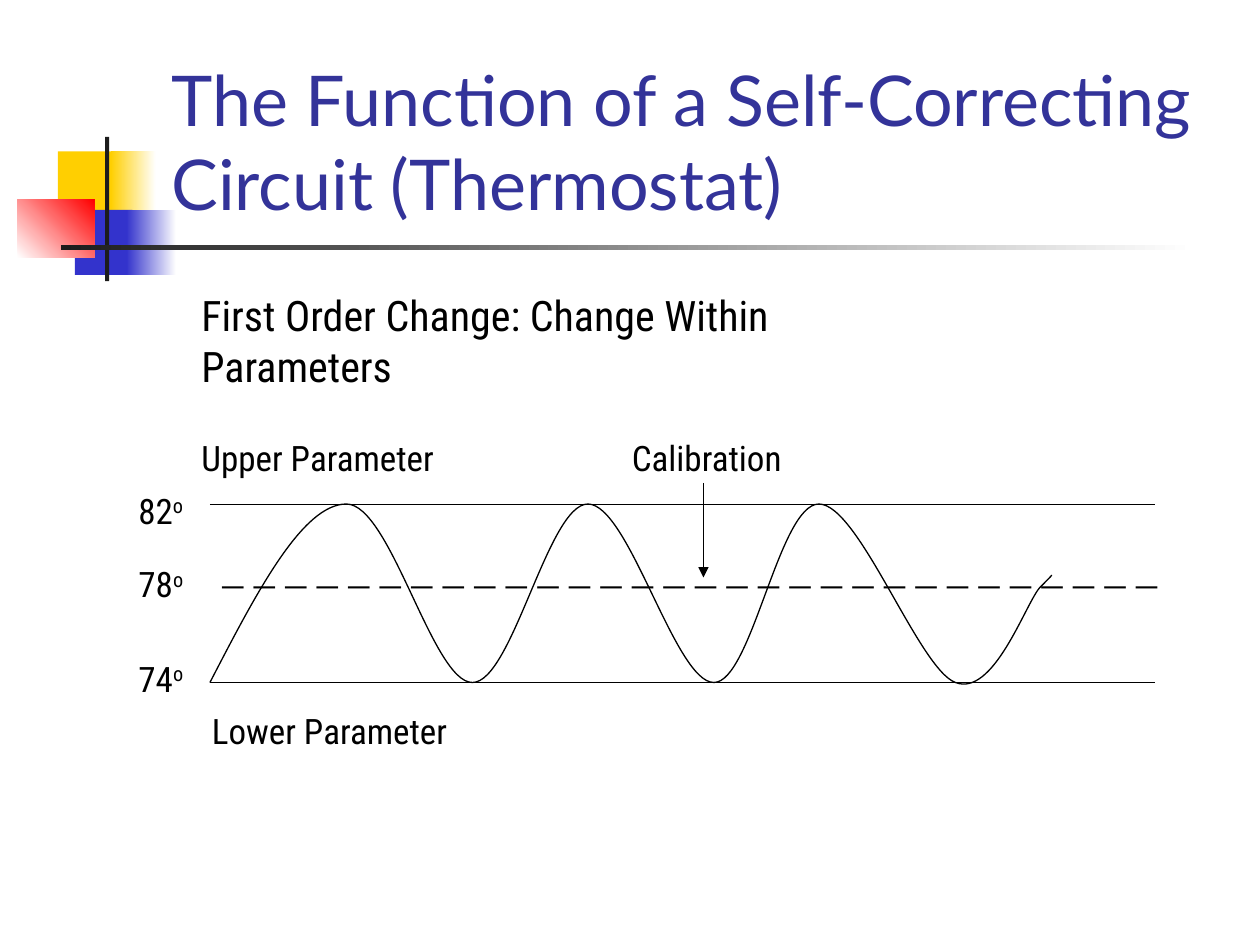
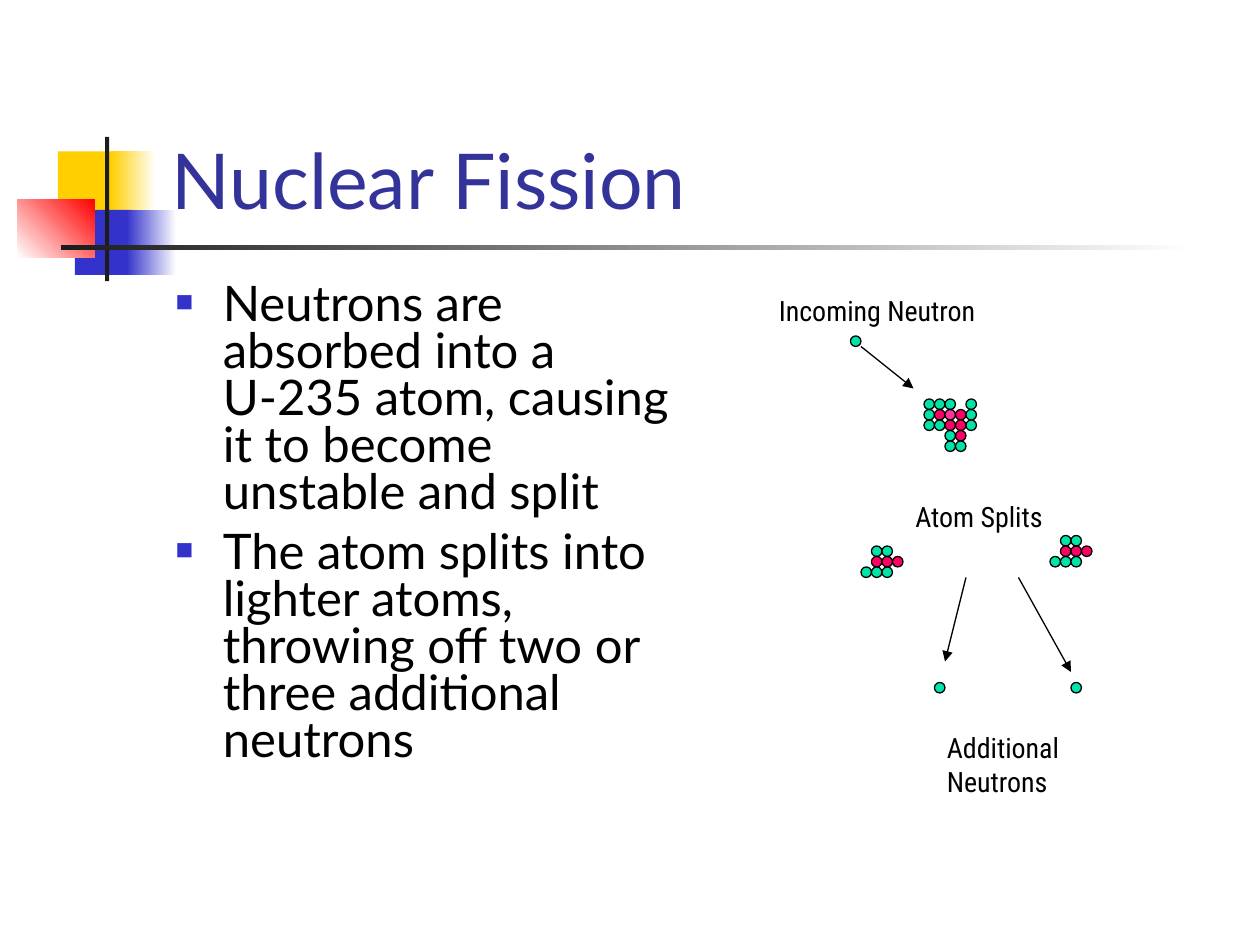
import pptx
import pptx.dml.color
import pptx.enum.shapes
import pptx.enum.text
import pptx.oxml.ns
import pptx.util
from lxml import etree

CELLS_PER_INCH = 12
TITLE_FONT, LABEL_FONT = "Lato", "Roboto Condensed"
INK, TITLE_BLUE, WHITE = "000000", "333399", "FFFFFF"
YELLOW, BLUE, RED, CHARCOAL = "FFCF01", "3333CC", "FF0000", "1C1C1C"
NUCLEONS = {"G": "00E4A8", "R": "FF0066", "P": "FF3399"}
NUCLEUS = ["GGG.G", "GRPRG", "GGRRG", "..GR.", "..GG."]
FRAGMENT = [".GG.", ".RRR", "GGG."]
MOTIF = [
    ((5.52, 14.42, 5.76, 6.24), [YELLOW], 0),
    ((10.56, 14.42, 4.28, 6.24), [YELLOW, WHITE], 0),
    ((7.13, 20, 5.5, 6.2), [BLUE], 0),
    ((12.05, 20, 4.75, 6.2), [BLUE, WHITE], 0),
    ((1.68, 19, 7.32, 5.55), [WHITE, RED], 45),
    ((10, 13.04, 0.4, 13.75), [CHARCOAL], 0),
    ((5.82, 23.35, 108, 0.42), [CHARCOAL, WHITE], 0),
]
TITLE_AREA = (15.12, 2.82, 102.24, 19.2)
BODY_AREA = (15.53, 26.44, 50, 54)
WAVE_START = (20, 65)
WAVE = [
    ((24.4, 56.5), (28.8, 48), (33, 48)),
    ((37.2, 48), (41.2, 65), (45, 65)),
    ((48.8, 65), (52.2, 48), (56, 48)),
    ((59.9, 48), (64.3, 65), (68, 65)),
    ((71.6, 65), (74.2, 48), (78, 48)),
    ((81.8, 48), (87.5, 63.7), (91, 65)),
    ((94.6, 66.4), (97.6, 57.7), (99, 56)),
    ((100.6, 54.4), (100.2, 54.7), (100, 55)),
]


def cells(count):
    return pptx.util.Inches(count / CELLS_PER_INCH)


def colour(hex_string):
    return pptx.dml.color.RGBColor.from_string(hex_string)


def apply_format(target, values):
    for name, value in values.items():
        setattr(target, name, value)


def format_font(font, family, size, ink):
    apply_format(font, {"name": family, "size": pptx.util.Pt(size)})
    font.color.rgb = colour(ink)


def outline(drawn):
    drawn.line.color.rgb = colour(INK)
    drawn.line.width = pptx.util.Pt(0.75)


def place(placeholder, area):
    names = ("left", "top", "width", "height")
    apply_format(placeholder, dict(zip(names, map(cells, area))))
    apply_format(placeholder.text_frame, {
        "word_wrap": True,
        "auto_size": pptx.enum.text.MSO_AUTO_SIZE.NONE,
    })


def add_block(slide, area, stops, angle):
    block = slide.shapes.add_shape(
        pptx.enum.shapes.MSO_SHAPE.RECTANGLE, *map(cells, area))
    block.shadow.inherit = False
    block.line.fill.background()
    if len(stops) == 1:
        block.fill.solid()
        block.fill.fore_color.rgb = colour(stops[0])
    else:
        block.fill.gradient()
        block.fill.gradient_angle = angle
        for stop, shade in zip(block.fill.gradient_stops, stops):
            stop.color.rgb = colour(shade)
    return block


def add_motif_to_master(master, slide):
    for area, stops, angle in MOTIF:
        block = add_block(slide, area, stops, angle)
        master.shapes.element.append(block.element)


def set_title(slide, wording, size):
    title = slide.shapes.title
    place(title, TITLE_AREA)
    title.text_frame.text = wording
    title.text_frame.vertical_anchor = pptx.enum.text.MSO_ANCHOR.BOTTOM
    paragraph = title.text_frame.paragraphs[0]
    paragraph.alignment = pptx.enum.text.PP_ALIGN.LEFT
    format_font(paragraph.runs[0].font, TITLE_FONT, size, TITLE_BLUE)


def add_square_bullet(paragraph):
    properties = paragraph._p.get_or_add_pPr()
    hanging = cells(4.5)
    properties.set("marL", str(hanging))
    properties.set("indent", str(-hanging))
    qn = pptx.oxml.ns.qn
    tint = etree.SubElement(properties, qn("a:buClr"))
    etree.SubElement(tint, qn("a:srgbClr"), val=BLUE)
    etree.SubElement(properties, qn("a:buSzPct"), val="60000")
    etree.SubElement(properties, qn("a:buChar"), char="■")


def set_bullets(slide, points):
    body = slide.placeholders[1]
    place(body, BODY_AREA)
    for index, point in enumerate(points):
        frame = body.text_frame
        paragraph = frame.add_paragraph() if index else frame.paragraphs[0]
        add_square_bullet(paragraph)
        apply_format(paragraph, {
            "line_spacing": 0.8,
            "space_before": pptx.util.Pt(7 if index else 0),
        })
        run = paragraph.add_run()
        run.text = point
        format_font(run.font, TITLE_FONT, 28, INK)


def add_label(slide, area, wording, size, family=LABEL_FONT, raised=""):
    label = slide.shapes.add_textbox(*map(cells, area))
    apply_format(label.text_frame, {
        "word_wrap": True,
        "auto_size": pptx.enum.text.MSO_AUTO_SIZE.SHAPE_TO_FIT_TEXT,
    })
    paragraph = label.text_frame.paragraphs[0]
    for part in filter(None, (wording, raised)):
        run = paragraph.add_run()
        run.text = part
        format_font(run.font, family, size, INK)
        if part == raised:
            run._r.get_or_add_rPr().set("baseline", "30000")


def add_line(slide, start, end, arrow=False):
    line = slide.shapes.add_connector(
        pptx.enum.shapes.MSO_CONNECTOR.STRAIGHT, *map(cells, start + end))
    outline(line)
    properties = line.element.spPr
    qn = pptx.oxml.ns.qn
    if arrow:
        etree.SubElement(properties.find(qn("a:ln")), qn("a:tailEnd"), type="triangle")
    etree.SubElement(properties, qn("a:effectLst"))


def bend_segments(freeform):
    qn = pptx.oxml.ns.qn
    segments = list(freeform.element.iter(qn("a:lnTo")))
    for first in range(0, len(segments), 3):
        trio = segments[first:first + 3]
        bend = etree.SubElement(trio[0].getparent(), qn("a:cubicBezTo"))
        for segment in trio:
            bend.append(segment[0])
            segment.getparent().remove(segment)


def add_wave(slide, start, curves):
    builder = slide.shapes.build_freeform(*map(cells, start))
    corners = [tuple(map(cells, point)) for curve in curves for point in curve]
    builder.add_line_segments(corners, close=False)
    wave = builder.convert_to_shape()
    bend_segments(wave)
    wave.shadow.inherit = False
    wave.fill.background()
    outline(wave)


def add_particles(slide, column, row, pattern):
    for down, kinds in enumerate(pattern):
        for across, kind in enumerate(kinds):
            if kind not in NUCLEONS:
                continue
            particle = slide.shapes.add_shape(
                pptx.enum.shapes.MSO_SHAPE.OVAL,
                *map(cells, (column + across, row + down, 1, 1)))
            particle.shadow.inherit = False
            particle.fill.solid()
            particle.fill.fore_color.rgb = colour(NUCLEONS[kind])
            outline(particle)


def fill_thermostat_slide(slide):
    set_title(slide, "The Function of a Self-Correcting Circuit (Thermostat)", 40)
    for limit in (65, 48.02):
        add_line(slide, (20, limit), (110, limit))
    add_label(slide, (20, 51, 94, 6), " ".join("_" * 30), 24, "Times New Roman")
    add_label(slide, (18, 41, 26, 9.24), "Upper Parameter", 20)
    for degrees, row, width in (("82", 46, 7), ("78", 53, 8), ("74", 62, 8)):
        add_label(slide, (12, row, width, 5.28), degrees, 20, raised="o")
    add_label(slide, (19, 67, 27, 9.24), "Lower Parameter", 20)
    add_label(slide, (59, 41, 19, 9.24), "Calibration", 20)
    add_label(slide, (18, 27, 61, 10.8),
              "First Order Change: Change Within Parameters", 24)
    add_wave(slide, WAVE_START, WAVE)
    add_line(slide, (67, 46), (67, 55), arrow=True)


def fill_fission_slide(slide):
    set_title(slide, "Nuclear Fission", 44)
    set_bullets(slide, [
        "Neutrons are absorbed into a U-235 atom, causing it to become unstable and split",
        "The atom splits into lighter atoms, throwing off two or three additional neutrons",
    ])
    add_particles(slide, 88, 38, NUCLEUS)
    for column, row in ((100, 51), (82, 52)):
        add_particles(slide, column, row, FRAGMENT)
    for column, row in ((81, 32), (102, 65), (89, 65)):
        add_particles(slide, column, row, ["G"])
    for start, end in (((82, 33), (87, 37)), ((97, 55), (102, 64)), ((92, 55), (90, 63))):
        add_line(slide, start, end, arrow=True)
    add_label(slide, (73, 27.36, 24, 8), "Incoming Neutron", 16)
    add_label(slide, (86, 47, 17, 4.44), "Atom Splits", 16)
    add_label(slide, (89, 69, 16, 7.68), "Additional Neutrons", 16)


def main():
    deck = pptx.Presentation()
    apply_format(deck, {"slide_width": cells(120), "slide_height": cells(90)})
    thermostat = deck.slides.add_slide(deck.slide_layouts[5])
    fission = deck.slides.add_slide(deck.slide_layouts[1])
    add_motif_to_master(deck.slide_master, thermostat)
    fill_thermostat_slide(thermostat)
    fill_fission_slide(fission)
    deck.save("out.pptx")


if __name__ == "__main__":
    main()
